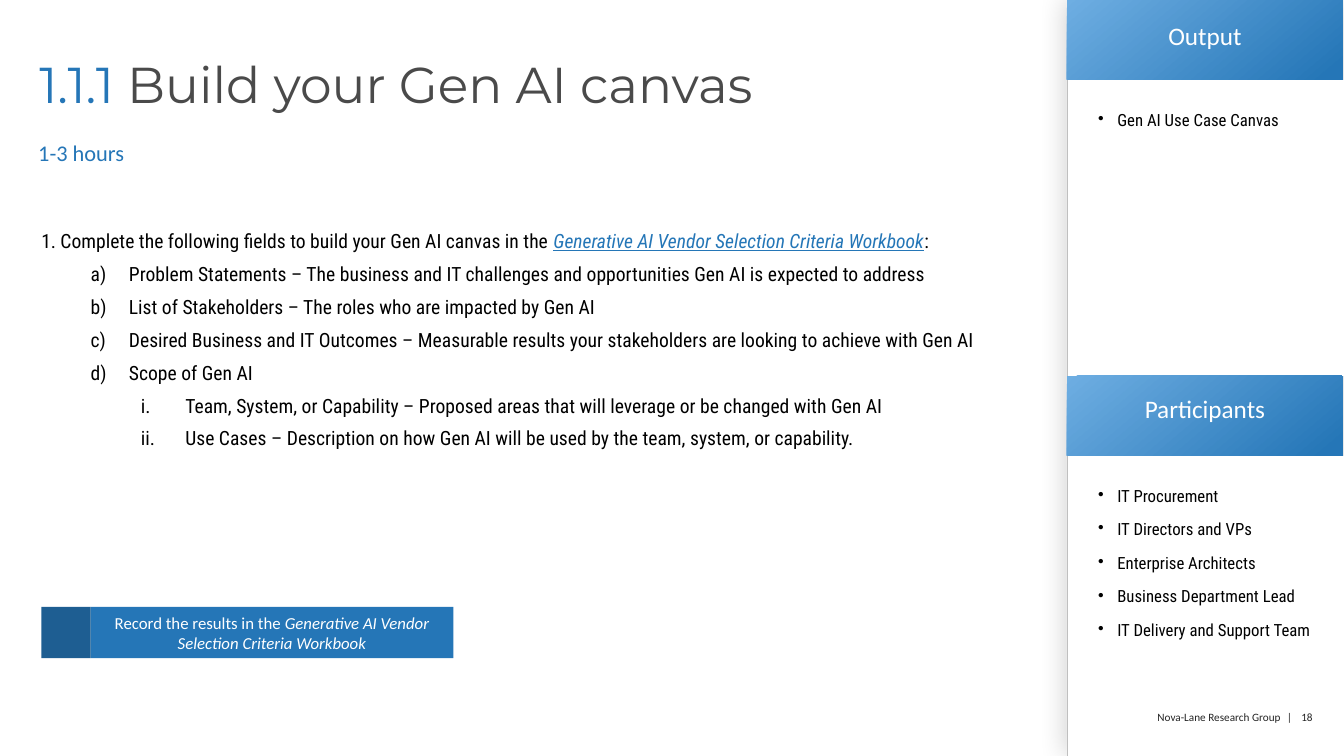
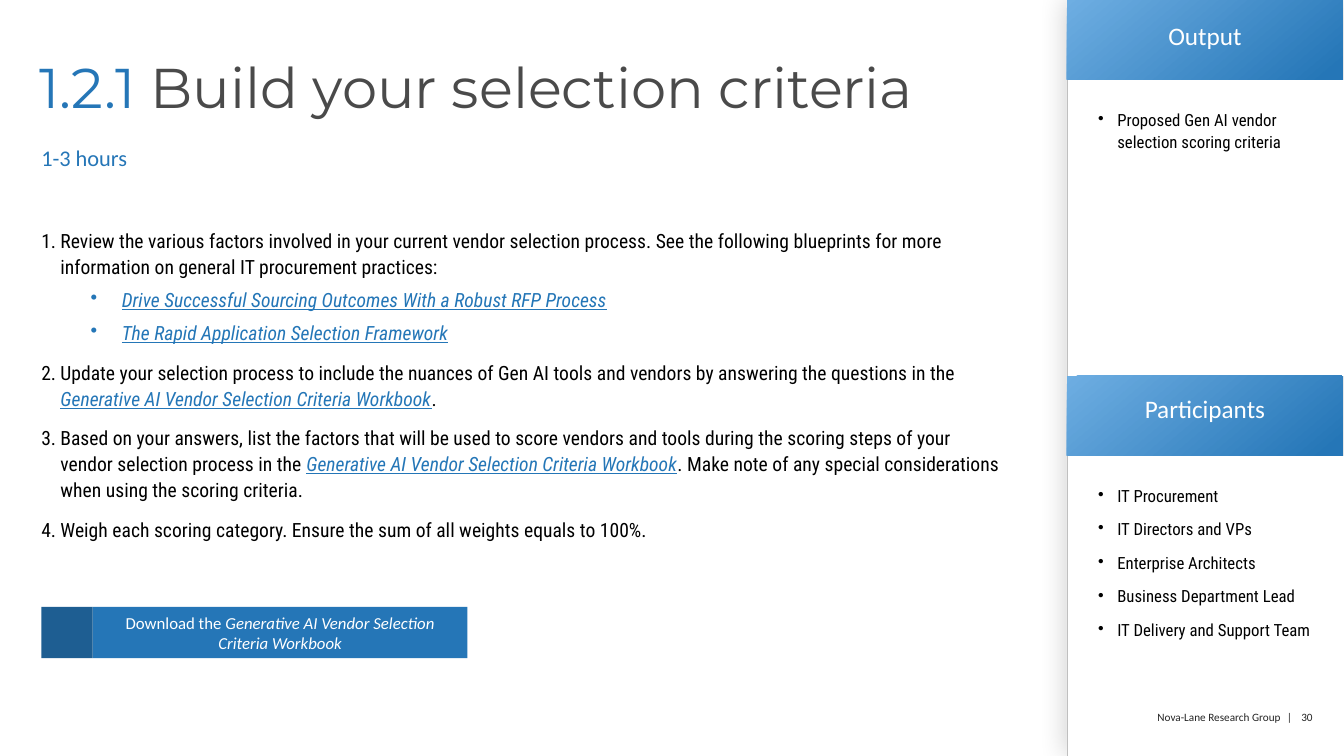
from dataclasses import dataclass
from typing import Any, NamedTuple

from lxml.etree import SubElement
from pptx import Presentation
from pptx.dml.color import RGBColor
from pptx.enum.shapes import MSO_SHAPE
from pptx.enum.text import MSO_ANCHOR, PP_ALIGN
from pptx.oxml import parse_xml
from pptx.oxml.ns import nsdecls, qn
from pptx.util import Inches, Pt

BLUE, NAVY, SKY = "2576B7", "1E5E92", "6EAEE2"
WHITE, BLACK, GREY, INK, RULE = "FFFFFF", "000000", "4A4A4A", "242424", "BFBFBF"
SIDE = 10.59
PLAIN = "{2D5ABB26-0587-4C30-8999-92F81FD0307C}"
BOOK = "Generative AI Vendor Selection Criteria Workbook"

BODY = {"name": "Roboto Condensed", "size": Pt(14), "color": BLACK}
LINK = BODY | {"color": "2476B7", "italic": True, "underline": True}
NOTE = BODY | {"size": Pt(12)}
HEAD = {"name": "Calibri", "size": Pt(18), "color": WHITE}
TIME = HEAD | {"size": Pt(16), "color": BLUE}
CALL = HEAD | {"size": Pt(12)}
FOOT = HEAD | {"size": Pt(8), "color": INK}


class Run(NamedTuple):
    text: str
    form: dict[str, Any]
    space: int = 0


class Box(NamedTuple):
    left: float
    top: float
    width: float
    height: float


@dataclass
class Para:
    runs: list[Run]
    mark: str = ""
    left: float = 0
    hang: float = 0
    gap: float = 0
    line: Any = 1.1
    level: int = 0
    align: Any = PP_ALIGN.LEFT


@dataclass
class Page:
    code: str
    title: str
    size: int
    time: Box
    steps: list[Para]
    output: str
    verb: str
    chip: float
    call: float
    number: int


def paint(color: Any, code: str) -> None:
    color.rgb = RGBColor.from_string(code)


def flood(fill: Any, code: str) -> None:
    fill.solid()
    paint(fill.fore_color, code)


def style(font: Any, form: dict[str, Any]) -> None:
    for key, value in form.items():
        if key == "color":
            paint(font.color, value)
        else:
            setattr(font, key, value)


def write(frame: Any, paras: list[Para]) -> None:
    frame.word_wrap = True
    for i, para in enumerate(paras):
        p = frame.add_paragraph() if i else frame.paragraphs[0]
        p.level, p.alignment = para.level, para.align
        props = p._p.get_or_add_pPr()
        if para.mark:
            props.set("marL", str(Inches(para.left)))
            props.set("indent", str(-Inches(para.hang)))
            if para.mark == "•":
                SubElement(props, qn("a:buChar")).set("char", para.mark)
            else:
                SubElement(props, qn("a:buAutoNum")).set("type", para.mark)
        p.line_spacing = para.line
        p.space_before = Pt(para.gap if i else 0)
        for part in para.runs:
            run = p.add_run()
            run.text = part.text
            style(run.font, part.form)
            if part.space:
                run._r.get_or_add_rPr().set("spc", str(part.space))


def inset(item: Any, left: float, top: float, right: float, base: float) -> None:
    sides = {"left": left, "top": top, "right": right, "bottom": base}
    for side, size in sides.items():
        setattr(item, f"margin_{side}", Inches(size))


def text(slide: Any, box: Box, paras: list[Para], right: float = 0) -> None:
    frame = slide.shapes.add_textbox(*map(Inches, box)).text_frame
    inset(frame, 0, 0, right, 0)
    write(frame, paras)


def block(slide: Any, box: Box, code: str) -> Any:
    shape = slide.shapes.add_shape(MSO_SHAPE.RECTANGLE, *map(Inches, box))
    shape.shadow.inherit = False
    flood(shape.fill, code)
    shape.line.fill.background()
    return shape


def edge(cell: Any, lines: dict[str, tuple[str, float]]) -> None:
    props = cell._tc.get_or_add_tcPr()
    for i, (side, (code, width)) in enumerate(lines.items()):
        props.insert(i, parse_xml(
            f'<a:ln{side} {nsdecls("a")} w="{Pt(width)}"><a:solidFill>'
            f'<a:srgbClr val="{code}"/></a:solidFill></a:ln{side}>'))


def header(cell: Any, label: str) -> None:
    inset(cell, 0, 0.35, 0, 0.25)
    write(cell.text_frame,
          [Para([Run(label, HEAD)], line=Pt(10), align=PP_ALIGN.CENTER)])
    cell.fill.gradient()
    cell.fill.gradient_angle = 310
    for stop, place, code in zip(cell.fill.gradient_stops, (0, 0.95), (SKY, BLUE)):
        stop.position = place
        paint(stop.color, code)


def roster(cell: Any, names: list[str]) -> None:
    inset(cell, 0.31, 0.28, 0.31, 0.31)
    write(cell.text_frame,
          [Para([Run(name, NOTE)], "•", 0.19, 0.19, 8, Pt(16)) for name in names])
    flood(cell.fill, WHITE)
    edge(cell, {"L": (RULE, 0.25), "R": (WHITE, 1)})


def panel(slide: Any, output: str) -> None:
    box = Box(SIDE, 0, 2.74, 7.5)
    back = block(slide, box, WHITE)
    glow = back._element.spPr.find(qn("a:effectLst"))
    glow.append(parse_xml(
        f'<a:outerShdw {nsdecls("a")} blurRad="{Pt(20)}" dist="0" dir="0">'
        f'<a:srgbClr val="{BLACK}"><a:alpha val="20000"/></a:srgbClr></a:outerShdw>'))
    table = slide.shapes.add_table(4, 1, *map(Inches, box)).table
    table.first_row = table.horz_banding = False
    table._tbl.tblPr.find(qn("a:tableStyleId")).text = PLAIN
    for row, height in zip(table.rows, (0.79, 2.94, 0.79, 2.99)):
        row.height = Inches(height)
    lists = {"Output": [output], "Participants": TEAM}
    for i, (label, names) in enumerate(lists.items()):
        header(table.cell(2 * i, 0), label)
        roster(table.cell(2 * i + 1, 0), names)
    table.cell(0, 0).vertical_anchor = MSO_ANCHOR.MIDDLE


def button(slide: Any, page: Page) -> None:
    left, top, height = 0.41, 6.02, 0.51
    call = block(slide, Box(left + page.chip, top, page.call, height), BLUE)
    call.text_frame.vertical_anchor = MSO_ANCHOR.MIDDLE
    write(call.text_frame, [Para(
        [Run(page.verb, CALL), Run(BOOK, CALL | {"italic": True})],
        line=1.0, align=PP_ALIGN.CENTER)])
    block(slide, Box(left, top, page.chip, height), NAVY)


def build(slide: Any, page: Page) -> None:
    panel(slide, page.output)
    big = {"name": "Montserrat", "size": Pt(page.size)}
    text(slide, Box(0.39, 0.6, 9.6, 0.84), [Para(
        [Run(page.code + " ", big | {"color": BLUE}),
         Run(page.title, big | {"color": GREY})], line=0.9)])
    text(slide, page.time, [Para([Run("1-3 hours", TIME)])])
    text(slide, Box(0.41, 2.25, 9.6, 3.6), page.steps)
    button(slide, page)
    text(slide, Box(9.63, 7.05, 3.7, 0.13), [Para(
        [Run("Nova-Lane Research Group", FOOT), Run(" | ", FOOT, 240),
         Run(str(page.number), FOOT)], line=1.0, align=PP_ALIGN.RIGHT)], 0.3)


def step(*runs: Run) -> Para:
    return Para(list(runs), "arabicPeriod", 0.19, 0.19, 10)


def part(line: str) -> Para:
    return Para([Run(line, BODY)], "alphaLcParenR", 0.87, 0.38, 5, level=1)


def point(line: str) -> Para:
    return Para([Run(line, BODY)], "romanLcPeriod", 1.43, 0.44, 5, level=2)


def guide(line: str) -> Para:
    return Para([Run(line, LINK)], "•", 0.8, 0.31, 5, level=1)


TEAM = ["IT Procurement", "IT Directors and VPs", "Enterprise Architects",
        "Business Department Lead", "IT Delivery and Support Team"]

PAGES = [
    Page("1.1.1", "Build your Gen AI canvas", 36, Box(0.38, 1.35, 4.5, 0.73), [
        step(Run("Complete the following fields to build your Gen AI canvas in the ", BODY),
             Run(BOOK, LINK), Run(":", BODY)),
        part("Problem Statements – The business and IT challenges and opportunities "
             "Gen AI is expected to address"),
        part("List of Stakeholders – The roles who are impacted by Gen AI"),
        part("Desired Business and IT Outcomes – Measurable results your stakeholders "
             "are looking to achieve with Gen AI"),
        part("Scope of Gen AI"),
        point("Team, System, or Capability – Proposed areas that will leverage or be "
              "changed with Gen AI"),
        point("Use Cases – Description on how Gen AI will be used by the team, system, "
              "or capability."),
    ], "Gen AI Use Case Canvas", "Record the results in the ", 0.49, 3.6, 18),
    Page("1.2.1", "Build your selection criteria", 40, Box(0.41, 1.4, 4.5, 0.73), [
        step(Run("Review the various factors involved in your current vendor selection "
                 "process. See the following blueprints for more information on general "
                 "IT procurement practices:", BODY)),
        guide("Drive Successful Sourcing Outcomes With a Robust RFP Process"),
        guide("The Rapid Application Selection Framework"),
        step(Run("Update your selection process to include the nuances of Gen AI tools "
                 "and vendors by answering the questions in the ", BODY),
             Run(BOOK, LINK), Run(".", BODY)),
        step(Run("Based on your answers, list the factors that will be used to score "
                 "vendors and tools during the scoring steps of your vendor selection "
                 "process in the ", BODY),
             Run(BOOK, LINK),
             Run(". Make note of any special considerations when using the scoring "
                 "criteria.", BODY)),
        step(Run("Weigh each scoring category. Ensure the sum of all weights equals to "
                 "100%.", BODY)),
    ], "Proposed Gen AI vendor selection scoring criteria", "Download the ",
        0.51, 3.72, 30),
]


def main() -> None:
    deck = Presentation()
    deck.slide_width, deck.slide_height = Inches(13.34), Inches(7.5)
    for page in PAGES:
        build(deck.slides.add_slide(deck.slide_layouts[6]), page)
    deck.save("out.pptx")


if __name__ == "__main__":
    main()
